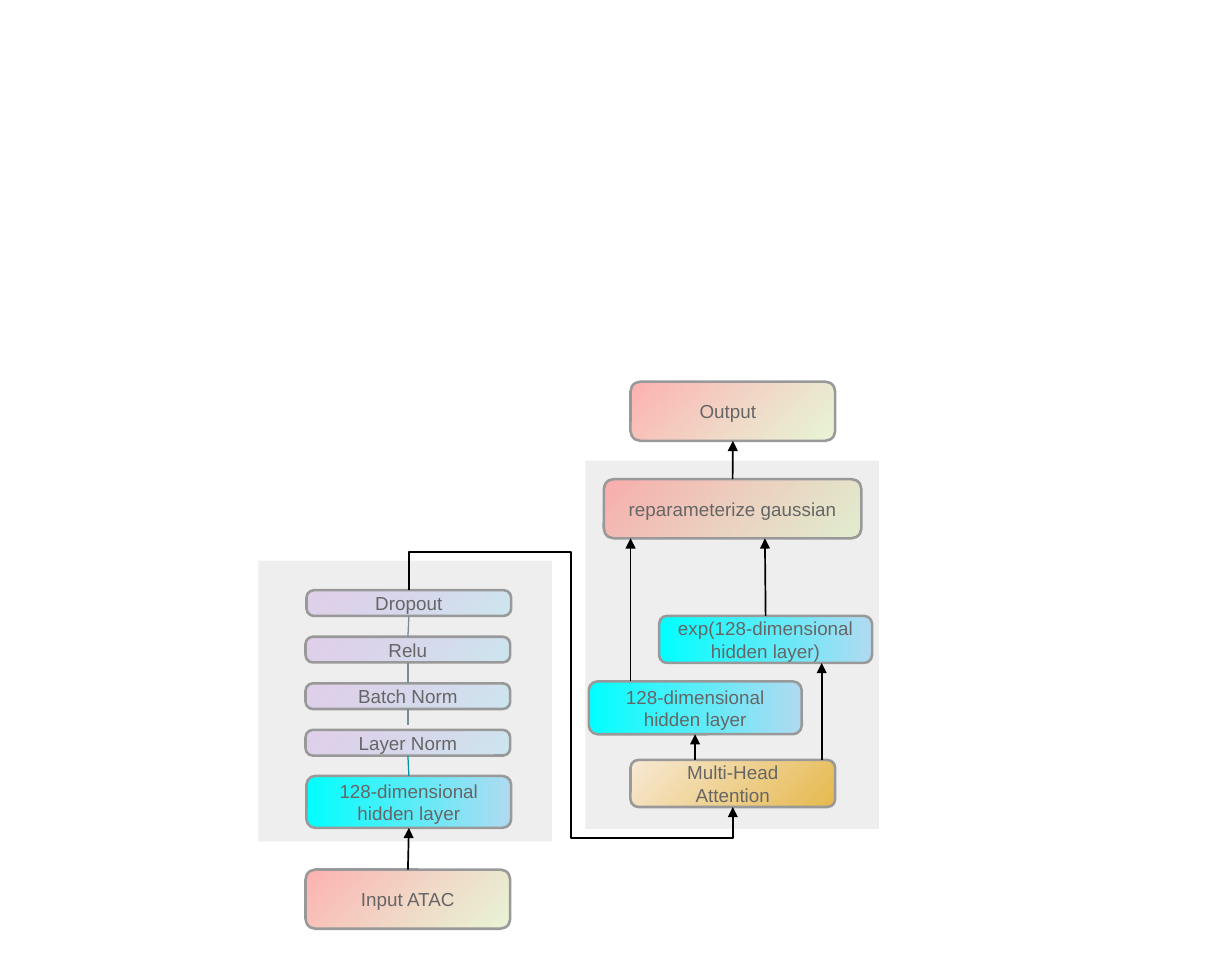
from lxml import etree
from pptx import Presentation
from pptx.dml.color import RGBColor
from pptx.enum.shapes import MSO_CONNECTOR, MSO_SHAPE
from pptx.enum.text import MSO_ANCHOR, PP_ALIGN
from pptx.oxml.ns import qn
from pptx.util import Cm, Pt

STRAIGHT, ELBOW = MSO_CONNECTOR.STRAIGHT, MSO_CONNECTOR.ELBOW
RECTANGLE, ROUNDED = MSO_SHAPE.RECTANGLE, MSO_SHAPE.ROUNDED_RECTANGLE
TOP, BOTTOM = 0, 2

COLOURS = {"panel": "EEEEEE", "border": "999999", "text": "666666",
           "arrow": "000000", "link": "748D99", "first link": "0094A3"}

# Clockwise angle, then (colour, opacity in percent) for both ends
GRADIENTS = {
    "data": (225, ("D8EDBA", 58), ("FE9696", 74)),
    "hidden": (0, ("00FFFF", 100), ("B0DAF1", 100)),
    "step": (225, ("69D4F4", 26), ("9F39D5", 17)),
    "attention": (45, ("F7E9D4", 100), ("E6B94E", 100)),
}
CORNERS = {"data": 0.167, "hidden": 0.167, "step": 0.285, "attention": 0.167}

PANELS = [(5.33, 11.56, 6.05, 5.79), (12.07, 9.5, 6.05, 7.59)]

# name: (text, style, left, top, width, height) in cm
BLOCKS = {
    "input": ("Input ATAC", "data", 6.3, 17.93, 4.22, 1.22),
    "encoder": ("128-dimensional hidden layer", "hidden", 6.32, 16, 4.22, 1.07),
    "mean": ("128-dimensional hidden layer", "hidden", 12.14, 14.05, 4.39, 1.09),
    "variance": ("exp(128-dimensional hidden layer)", "hidden", 13.59, 12.7, 4.39, 0.97),
    "attention": ("Multi-Head\nAttention", "attention", 13, 15.67, 4.22, 0.97),
    "gaussian": ("reparameterize gaussian", "data", 12.45, 9.88, 5.31, 1.22),
    "output": ("Output", "data", 13, 7.87, 4.22, 1.22),
}
STEPS = [("Dropout", 6.32), ("Relu", 6.3), ("Batch Norm", 6.3), ("Layer Norm", 6.3)]
STEP_TOP, STEP_PITCH, STEP_WIDTH, STEP_HEIGHT = 12.17, 0.96, 4.22, 0.53
for index, (label, left) in enumerate(STEPS):
    BLOCKS[label] = (label, "step", left, STEP_TOP + index * STEP_PITCH,
                     STEP_WIDTH, STEP_HEIGHT)

# Each end is a block name (its top to start, its bottom to end) or a point in cm
LINKS = [
    ("encoder", "Layer Norm", "first link"),
    ((8.41, 14.94), "Batch Norm", "link"),
    ("Batch Norm", "Relu", "link"),
    ("Relu", "Dropout", "link"),
    ("input", "encoder", "arrow"),
    ((14.33, 15.67), (14.33, 15.14), "arrow"),
    ((16.94, 15.67), (16.94, 13.67), "arrow"),
    ((13, 14.05), (13, 11.1), "arrow"),
    ("variance", (15.77, 11.1), "arrow"),
    ("gaussian", "output", "arrow"),
]
BEND_ADJUSTMENTS = (-17500, 50000, 114200)
INSET, OUTPUT_RIGHT_INSET = 0.25, 0.45

FONT = {"name": "Arial", "size": Pt(11)}
FRAME = {"word_wrap": True, "vertical_anchor": MSO_ANCHOR.MIDDLE,
         "margin_left": Cm(INSET), "margin_right": Cm(INSET),
         "margin_top": Cm(INSET), "margin_bottom": Cm(INSET)}


def colour(name):
    return RGBColor.from_string(COLOURS[name])


def apply(target, values):
    for key, value in values.items():
        setattr(target, key, value)


def fill_gradient(shape, style):
    angle, *ends = GRADIENTS[style]
    shape.fill.gradient()
    shape.fill.gradient_angle = (360 - angle) % 360
    for stop, position, (code, _) in zip(shape.fill.gradient_stops, (0, 1), ends):
        stop.color.rgb = RGBColor.from_string(code)
        stop.position = position
    gradient = shape._element.spPr.find(qn("a:gradFill"))
    for node, (_, opacity) in zip(gradient.iter(qn("a:srgbClr")), ends):
        if opacity < 100:
            etree.SubElement(node, qn("a:alpha"), val=str(opacity * 1000))


def add_panel(page, bounds):
    panel = page.shapes.add_shape(RECTANGLE, *map(Cm, bounds))
    panel.shadow.inherit = False
    panel.fill.solid()
    panel.fill.fore_color.rgb = colour("panel")
    panel.line.fill.background()


def add_block(page, text, style, *bounds):
    box = page.shapes.add_shape(ROUNDED, *map(Cm, bounds))
    box.shadow.inherit = False
    box.adjustments[0] = CORNERS[style]
    fill_gradient(box, style)
    box.line.color.rgb = colour("border")
    box.line.width = Pt(1.5)
    apply(box.text_frame, FRAME)
    box.text_frame.text = text
    for para in box.text_frame.paragraphs:
        para.alignment = PP_ALIGN.CENTER
        for span in para.runs:
            apply(span.font, FONT)
            span.font.color.rgb = colour("text")
    return box


def style_line(connector, name):
    connector.line.color.rgb = colour(name)
    connector.line.width = Pt(1 if name == "arrow" else 0.75)
    properties = connector._element.spPr
    if name == "arrow":
        etree.SubElement(properties.find(qn("a:ln")), qn("a:tailEnd"), type="triangle")
    etree.SubElement(properties, qn("a:effectLst"))


def add_link(page, boxes, start, end, name):
    points = [(0, 0) if isinstance(spot, str) else spot for spot in (start, end)]
    connector = page.shapes.add_connector(
        STRAIGHT, *(Cm(value) for point in points for value in point))
    if isinstance(start, str):
        connector.begin_connect(boxes[start], TOP)
    if isinstance(end, str):
        connector.end_connect(boxes[end], BOTTOM)
    style_line(connector, name)


def add_bent_arrow(page, source, target):
    """Run from the top of source, around both panels, to the bottom of target."""
    start_x, start_y = source.left + source.width // 2, source.top
    end_x, end_y = target.left + target.width // 2, target.top + target.height
    width, height = end_y - start_y, end_x - start_x
    left = (start_x + end_x - width) // 2
    top = (start_y + end_y - height) // 2
    connector = page.shapes.add_connector(ELBOW, left + width, top, left, top + height)
    properties = connector._element.spPr
    properties.find(qn("a:xfrm")).set("rot", str(270 * 60000))
    geometry = properties.find(qn("a:prstGeom"))
    geometry.set("prst", "bentConnector5")
    guides = geometry.find(qn("a:avLst"))
    if guides is None:
        guides = etree.SubElement(geometry, qn("a:avLst"))
    for number, value in enumerate(BEND_ADJUSTMENTS, 1):
        etree.SubElement(guides, qn("a:gd"), name=f"adj{number}", fmla=f"val {value}")
    style_line(connector, "arrow")


def main():
    deck = Presentation()
    deck.slide_width, deck.slide_height = Cm(25.4), Cm(20)
    page = deck.slides.add_slide(deck.slide_layouts[6])
    for bounds in PANELS:
        add_panel(page, bounds)
    boxes = {name: add_block(page, *block) for name, block in BLOCKS.items()}
    boxes["output"].text_frame.margin_right = Cm(OUTPUT_RIGHT_INSET)
    for link in LINKS:
        add_link(page, boxes, *link)
    add_bent_arrow(page, boxes["Dropout"], boxes["attention"])
    deck.save("out.pptx")


if __name__ == "__main__":
    main()
